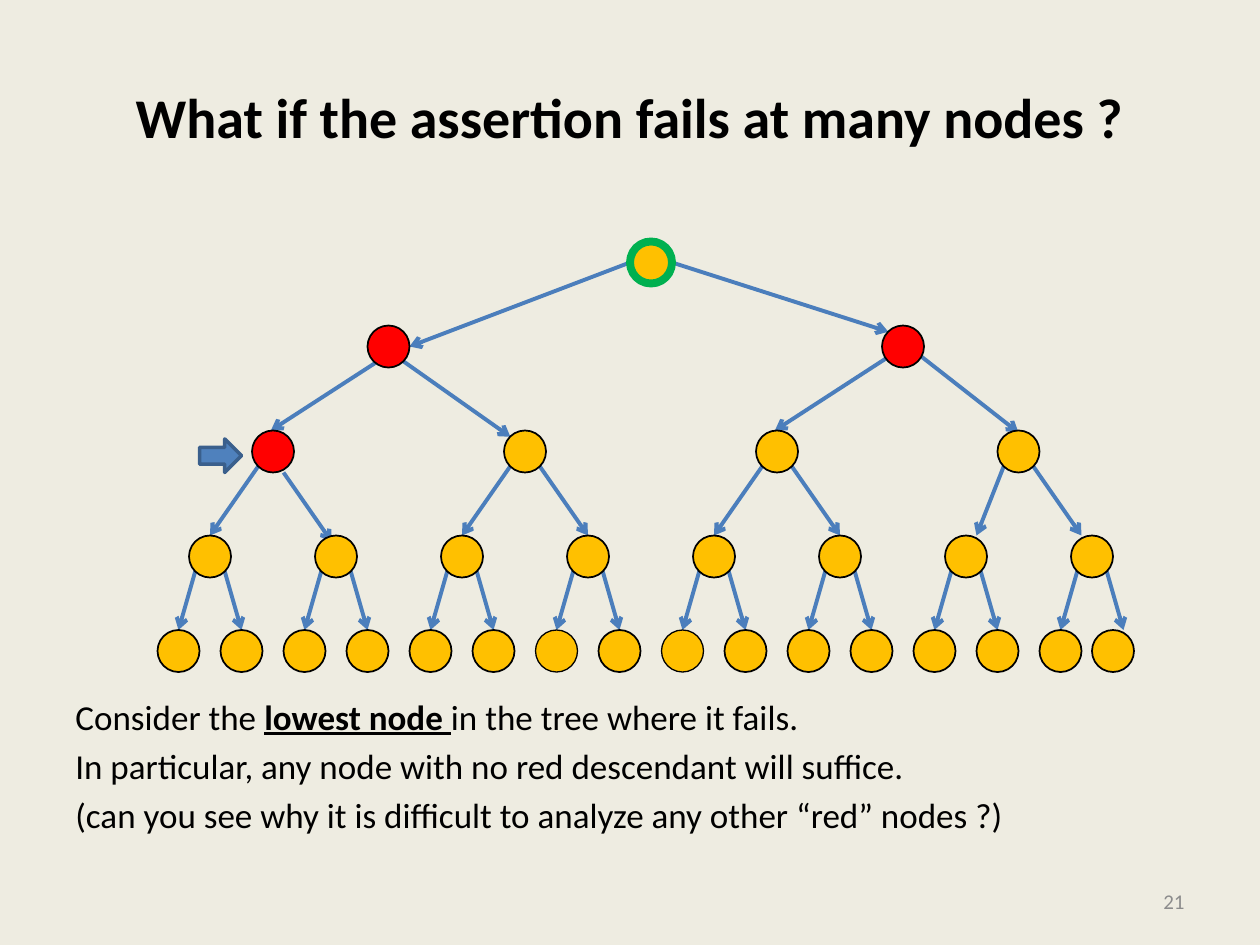
from typing import NamedTuple

from lxml.etree import SubElement
from pptx import Presentation
from pptx.dml.color import RGBColor
from pptx.enum.shapes import MSO_CONNECTOR, MSO_SHAPE
from pptx.enum.text import MSO_ANCHOR as Anchor, PP_ALIGN as Align
from pptx.oxml.ns import qn
from pptx.util import Inches, Pt

CREAM = RGBColor(0xEE, 0xEC, 0xE1)
BLACK = RGBColor(0x00, 0x00, 0x00)
GRAY = RGBColor(0x8C, 0x8C, 0x8C)
AMBER = RGBColor(0xFF, 0xC0, 0x00)
RED = RGBColor(0xFF, 0x00, 0x00)
GREEN = RGBColor(0x00, 0xB0, 0x50)
EDGE_BLUE = RGBColor(0x4B, 0x7E, 0xBC)
MARKER_BLUE = RGBColor(0x4F, 0x81, 0xBD)
MARKER_LINE = RGBColor(0x3A, 0x5F, 0x8C)

WIDTH, HEIGHT = Inches(10), Inches(7.5)
COLUMNS, ROWS = 120, 90
NODE_SIZE = 4
PARENT_ROW, LEAF_ROW = 51, 60


class Symbol(NamedTuple):
    column: float
    row: float
    fill: RGBColor = AMBER
    line: RGBColor = BLACK
    line_width: float = 1
    width: float = NODE_SIZE
    height: float = NODE_SIZE
    kind: MSO_SHAPE = MSO_SHAPE.OVAL


class Edge(NamedTuple):
    start_column: float
    start_row: float
    end_column: float
    end_row: float


class Label(NamedTuple):
    column: float
    row: float
    width: float
    height: float
    size: float
    color: RGBColor = BLACK
    align: Align = Align.LEFT
    anchor: Anchor = Anchor.MIDDLE


class Piece(NamedTuple):
    text: str
    strong: bool = False


def across(columns: float) -> int:
    return round(WIDTH * columns / COLUMNS)


def down(rows: float) -> int:
    return round(HEIGHT * rows / ROWS)


def draw_symbol(slide, symbol: Symbol) -> None:
    shape = slide.shapes.add_shape(
        symbol.kind, across(symbol.column), down(symbol.row),
        across(symbol.width), down(symbol.height))
    shape.shadow.inherit = False
    shape.fill.solid()
    shape.fill.fore_color.rgb = symbol.fill
    shape.line.color.rgb = symbol.line
    shape.line.width = Pt(symbol.line_width)


def draw_edge(slide, edge: Edge) -> None:
    connector = slide.shapes.add_connector(
        MSO_CONNECTOR.STRAIGHT, across(edge.start_column), down(edge.start_row),
        across(edge.end_column), down(edge.end_row))
    connector.line.color.rgb = EDGE_BLUE
    connector.line.width = Pt(2.25)
    properties = connector._element.spPr
    SubElement(properties.find(qn("a:ln")), qn("a:tailEnd"), type="arrow")
    SubElement(properties, qn("a:effectLst"))


def draw_label(slide, label: Label, lines: list[list[Piece]], bold: bool = False) -> None:
    frame = slide.shapes.add_textbox(
        across(label.column), down(label.row),
        across(label.width), down(label.height)).text_frame
    frame.word_wrap = True
    frame.vertical_anchor = label.anchor
    for index, pieces in enumerate(lines):
        paragraph = frame.add_paragraph() if index else frame.paragraphs[0]
        paragraph.alignment = label.align
        if index:
            paragraph.space_before = Pt(label.size * 0.2)
        font = paragraph.font
        font.name, font.size, font.bold = "Calibri", Pt(label.size), bold
        font.color.rgb = label.color
        for piece in pieces:
            run = paragraph.add_run()
            run.text = piece.text
            if piece.strong:
                run.font.bold = run.font.underline = True


def fork(column: float, row: float, reach: float, drop: float) -> list[Edge]:
    left, right = column + 0.6, column + 3.4
    return [Edge(left, row + 3.4, left - reach, row + drop),
            Edge(right, row + 3.4, right + reach, row + drop)]


PARENT_COLUMNS = [18 + 12 * index for index in range(8)]
LEAF_COLUMNS = [15 + 6 * index for index in range(15)] + [104]
THIN_LEAVES = {51, 63}

EDGES = [
    Edge(60, 25, 39, 33), Edge(64, 25, 84.6, 31.6),
    Edge(36, 34.4, 25.8, 41), Edge(38.4, 34.4, 48.6, 41.6),
    Edge(84.6, 34, 73.8, 41), Edge(87.8, 34, 97, 41.2),
    Edge(24.6, 44.4, 20, 51), Edge(27, 45, 31.6, 51.6),
    *fork(48, 41, 4.6, 10), *fork(72, 41, 4.6, 10),
    Edge(95.6, 44.4, 93, 51), Edge(98.4, 44.4, 103, 51),
    *(edge for column in PARENT_COLUMNS for edge in fork(column, PARENT_ROW, 1.6, 9)),
]

SYMBOLS = [
    *(Symbol(column, LEAF_ROW, line_width=0.75 if column in THIN_LEAVES else 1)
      for column in LEAF_COLUMNS),
    *(Symbol(column, PARENT_ROW) for column in PARENT_COLUMNS),
    *(Symbol(column, 41) for column in (48, 72, 95)),
    *(Symbol(column, row, RED) for column, row in ((24, 41), (35, 31), (84, 31))),
    Symbol(60, 23, line=GREEN, line_width=4.5),
    Symbol(19, 41.8, MARKER_BLUE, MARKER_LINE, 2, height=3.2, kind=MSO_SHAPE.RIGHT_ARROW),
]

TITLE = Label(6, 3.6, 108, 15, 32, align=Align.CENTER)
BODY = Label(6, 65.6, 108, 14.8, 20, anchor=Anchor.TOP)
NUMBER = Label(86, 83.4, 28, 4.8, 12, GRAY, Align.RIGHT)

BODY_LINES = [
    [Piece("Consider the "), Piece("lowest node ", True), Piece("in the tree where it fails.")],
    [Piece("In particular, any node with no red descendant will suffice.")],
    [Piece("(can you see why it is difficult to analyze any other “red” nodes ?)")],
]


def main() -> None:
    presentation = Presentation()
    presentation.slide_width, presentation.slide_height = WIDTH, HEIGHT
    slide = presentation.slides.add_slide(presentation.slide_layouts[6])
    slide.background.fill.solid()
    slide.background.fill.fore_color.rgb = CREAM
    draw_label(slide, TITLE, [[Piece("What if the assertion fails at many nodes ?")]], bold=True)
    draw_label(slide, BODY, BODY_LINES)
    draw_label(slide, NUMBER, [[Piece("21")]])
    for edge in EDGES:
        draw_edge(slide, edge)
    for symbol in SYMBOLS:
        draw_symbol(slide, symbol)
    presentation.save("out.pptx")


if __name__ == "__main__":
    main()
